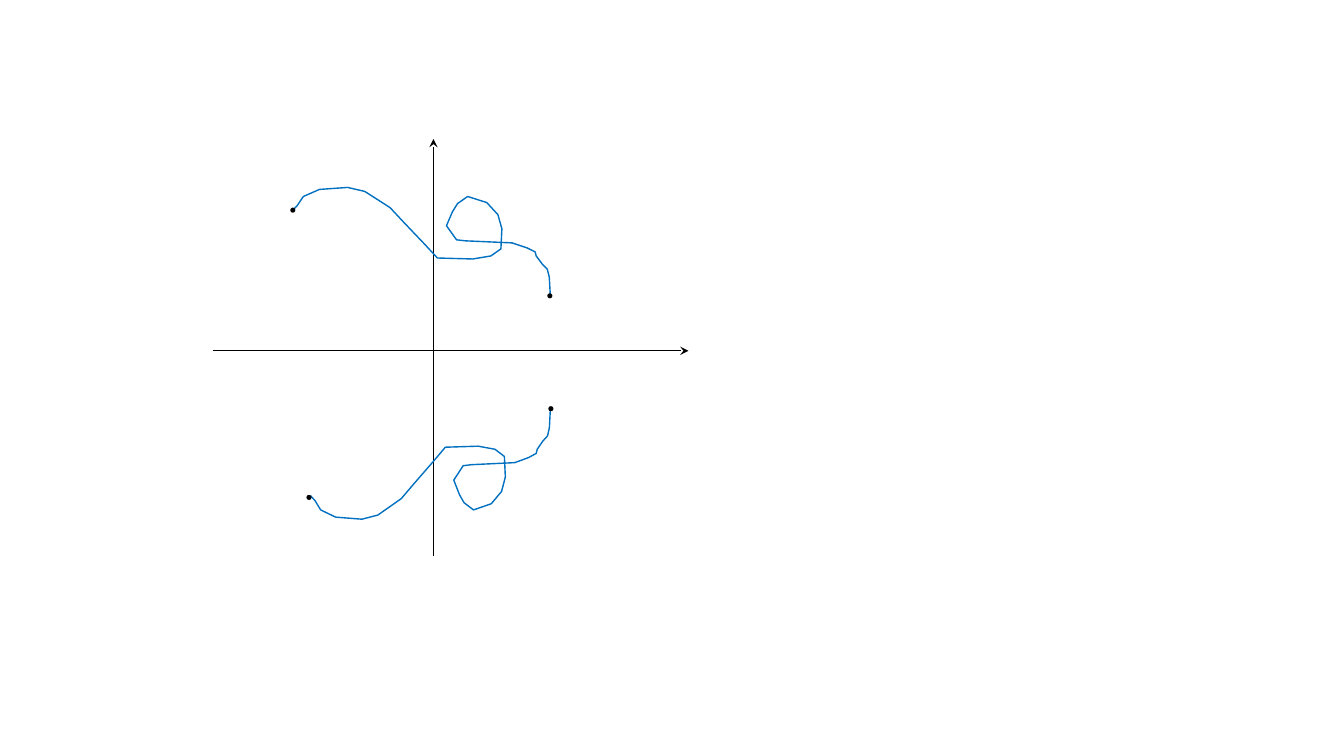
"""Draw a looping curve and its reflection below the horizontal axis."""
from lxml.etree import SubElement
from pptx import Presentation
from pptx.dml.color import RGBColor
from pptx.enum.shapes import MSO_CONNECTOR, MSO_SHAPE
from pptx.oxml.ns import qn
from pptx.util import Pt

COLORS = {"axis": "000000", "curve": "0070C0", "endpoint": "000000"}
GRID = 0.72
TRACE = [
    (546, 293), (545, 275), (543, 267), (538, 262), (532, 254), (531, 250),
    (523, 246), (508, 241), (462, 239), (453, 238), (443, 224), (449, 210),
    (454, 202), (464, 195), (483, 201), (494, 213), (498, 227), (497, 247),
    (487, 254), (469, 257), (434, 256), (421, 242), (401, 221), (387, 206),
    (362, 190), (345, 186), (317, 188), (301, 195), (295, 204), (290, 209),
]

prs = Presentation()
prs.slide_width, prs.slide_height = Pt(960), Pt(540)
slide = prs.slides.add_slide(prs.slide_layouts[6])

for ends in [(151.92, 250.56, 491.76, 250.56), (309.6, 397.44, 309.6, 99.36)]:
    axis = slide.shapes.add_connector(MSO_CONNECTOR.STRAIGHT, *map(Pt, ends))
    axis.line.color.rgb = RGBColor.from_string(COLORS["axis"])
    axis.line.width = Pt(0.5)
    SubElement(axis.line._get_or_add_ln(), qn("a:tailEnd"), type="stealth")
    SubElement(axis._element.spPr, qn("a:effectLst"))

start_x, start_y = TRACE[0]
for top_y, scale_x, scale_y in [(start_y, 1, 1), (406, 0.93, -1.02)]:
    vertices = [
        (Pt(GRID * (start_x + (x - start_x) * scale_x)),
         Pt(GRID * (top_y + (y - start_y) * scale_y)))
        for x, y in TRACE
    ]
    builder = slide.shapes.build_freeform(*vertices[0])
    builder.add_line_segments(vertices[1:], close=False)
    curve = builder.convert_to_shape()
    curve.shadow.inherit = False
    curve.fill.background()
    curve.line.color.rgb = RGBColor.from_string(COLORS["curve"])
    curve.line.width = Pt(1)

for left, top in [(390.96, 209.52), (207.36, 148.32), (391.68, 290.16), (218.88, 353.52)]:
    endpoint = slide.shapes.add_shape(MSO_SHAPE.OVAL, Pt(left), Pt(top), Pt(3.6), Pt(3.6))
    endpoint.shadow.inherit = False
    endpoint.fill.solid()
    endpoint.fill.fore_color.rgb = RGBColor.from_string(COLORS["endpoint"])
    endpoint.line.fill.background()

prs.save("out.pptx")
